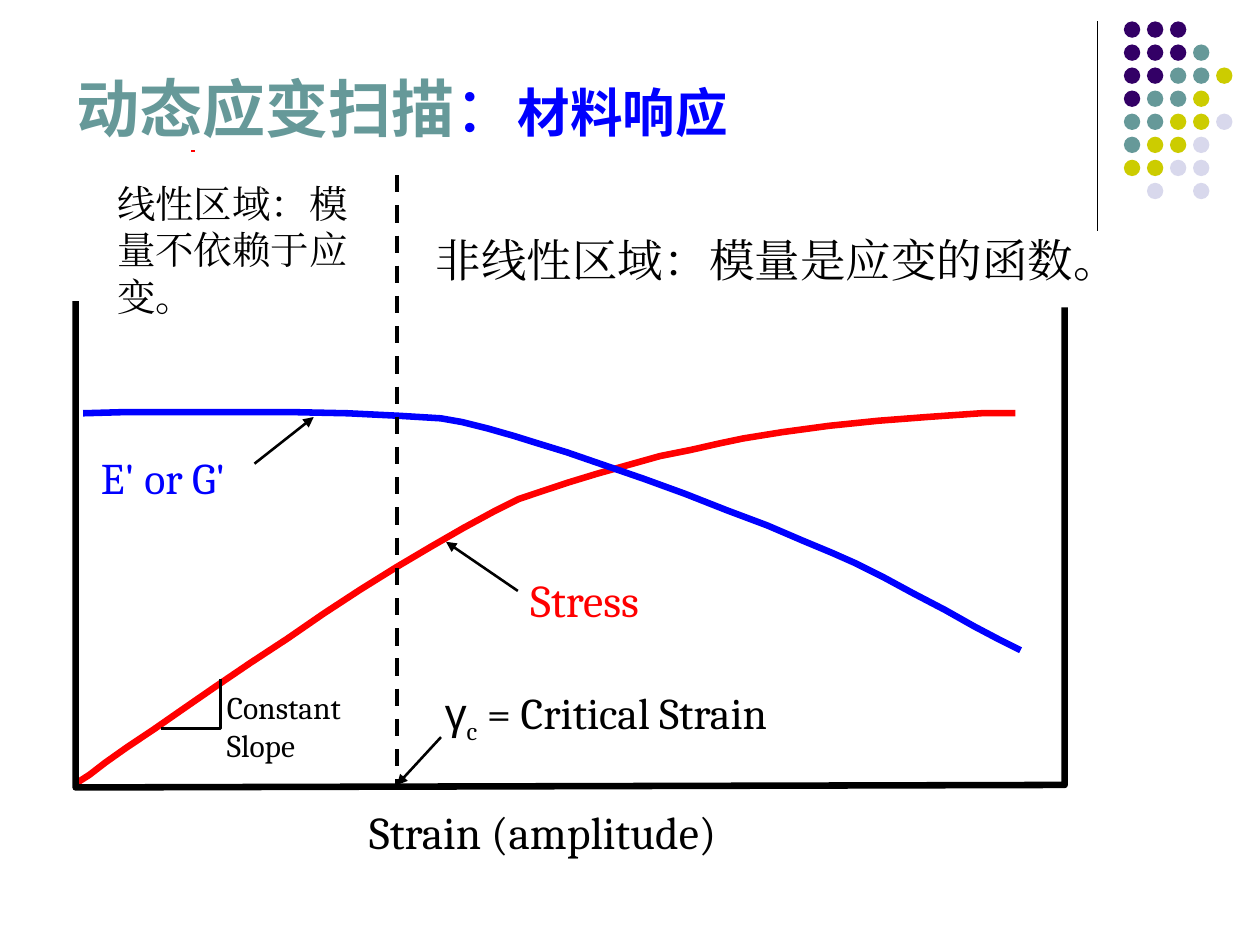
from dataclasses import dataclass

from lxml import etree
from pptx import Presentation
from pptx import util as u
from pptx.dml.color import RGBColor
from pptx.enum import dml, shapes, text
from pptx.oxml.ns import qn


@dataclass(frozen=True)
class Theme:
    ink: str = "000000"
    blue: str = "0000FF"
    red: str = "FF0000"
    teal: str = "669999"
    purple: str = "330066"
    olive: str = "CCCC00"
    pale: str = "D8D8EC"
    sans: str = "Arial"
    serif: str = "Cambria"
    title: int = 36
    subtitle: int = 30
    large: int = 26
    label: int = 25
    note: int = 22
    small: int = 18
    hairline: float = 0.75
    thin: float = 1.47
    dashed: float = 2.47
    thick: float = 3.75


THEME = Theme()

# The slide is a grid of 100 columns by 75 rows, with square cells
COLUMNS, ROWS = 100, 75
CELL = u.Inches(10) / COLUMNS

DOT_ROWS = ["PPP", "PPPT", "PPTTO", "PTTO", "TTOOL", "TOOL", "OOLL", " L L"]
DOT_COLORS = {"P": THEME.purple, "T": THEME.teal, "O": THEME.olive, "L": THEME.pale}

STRESS_CURVE = [
    (6, 62.2), (7.1, 61.5), (8.4, 60.5), (10.1, 59.3), (12.2, 57.9), (14.5, 56.3),
    (17.1, 54.5), (19.9, 52.6), (22.8, 50.7), (25.7, 48.7), (28.6, 46.8), (31.5, 45),
    (34.2, 43.4), (36.8, 41.9), (39.2, 40.6), (41.2, 39.6), (43, 39), (45.1, 38.3),
    (47.4, 37.6), (49.9, 36.9), (52.4, 36.2), (54.9, 35.7), (57.1, 35.2), (59, 34.8),
    (62.1, 34.3), (65.8, 33.8), (69.7, 33.4), (73.6, 33.1), (77.9, 32.8), (80.6, 32.8),
]
MODULUS_CURVE = [
    (6.6, 32.8), (10.1, 32.7), (22.9, 32.7), (27.6, 32.8), (31.7, 33), (35, 33.2),
    (36.7, 33.5), (38.7, 34), (40.8, 34.6), (42.4, 35.1), (45, 35.9), (47.9, 36.9),
    (51.1, 38), (54.4, 39.2), (57.7, 40.5), (60.9, 41.7), (63.7, 42.9), (66.1, 43.9),
    (67.9, 44.7), (70.1, 45.8), (72.5, 47.1), (75, 48.4), (77.3, 49.7), (79.2, 50.7),
    (81, 51.6),
]


def grid(value):
    return u.Emu(round(value * CELL))


def style_line(line, color, width):
    line.color.rgb = RGBColor.from_string(color)
    line.width = u.Pt(width)


def add_line(slide, start, end, color=THEME.ink, width=THEME.thin, dash=False, arrow=False):
    connector = slide.shapes.add_connector(
        shapes.MSO_CONNECTOR.STRAIGHT, *map(grid, (*start, *end)))
    style_line(connector.line, color, width)
    if dash:
        connector.line.dash_style = dml.MSO_LINE.DASH
    if arrow:
        outline = connector.line._get_or_add_ln()
        etree.SubElement(outline, qn("a:tailEnd"), type="triangle")
    etree.SubElement(connector._element.spPr, qn("a:effectLst"))
    return connector


def add_path(slide, points, color=THEME.ink, width=THEME.thick):
    (first, *rest) = [(grid(x), grid(y)) for x, y in points]
    builder = slide.shapes.build_freeform(*first)
    builder.add_line_segments(rest, close=False)
    shape = builder.convert_to_shape()
    shape.shadow.inherit = False
    shape.fill.background()
    style_line(shape.line, color, width)
    return shape


def add_dot(slide, left, top, size, color):
    shape = slide.shapes.add_shape(
        shapes.MSO_SHAPE.OVAL, grid(left), grid(top), grid(size), grid(size))
    shape.shadow.inherit = False
    shape.fill.solid()
    shape.fill.fore_color.rgb = RGBColor.from_string(color)
    shape.line.fill.background()


def add_run(paragraph, words, size, font, color, bold=False, baseline=0):
    run = paragraph.add_run()
    run.text = words
    run.font.size = u.Pt(size)
    run.font.bold = bold
    run.font.color.rgb = RGBColor.from_string(color)
    run.font.name = font
    properties = run._r.get_or_add_rPr()
    etree.SubElement(properties, qn("a:ea"), typeface=font)
    if baseline:
        properties.set("baseline", str(baseline * 1000))


def add_text(slide, box, paragraphs, size=THEME.large, font=THEME.serif,
             color=THEME.ink, wrap=False, anchor=text.MSO_ANCHOR.TOP):
    """Each paragraph is a list of (words, format overrides) pairs."""
    shape = slide.shapes.add_textbox(*map(grid, box))
    frame = shape.text_frame
    frame.word_wrap = wrap
    frame.vertical_anchor = anchor
    frame.margin_left = frame.margin_right = frame.margin_top = frame.margin_bottom = 0
    for index, runs in enumerate(paragraphs):
        paragraph = frame.add_paragraph() if index else frame.paragraphs[0]
        for words, overrides in runs:
            add_run(paragraph, words, **{"size": size, "font": font, "color": color, **overrides})


def add_label(slide, box, *lines, **formatting):
    add_text(slide, box, [[(line, {})] for line in lines], **formatting)


def add_corner_ornament(slide):
    add_line(slide, (87.1, 1.7), (87.1, 18.3), width=THEME.hairline)
    pitch = 1.83
    for row, pattern in enumerate(DOT_ROWS):
        for column, key in enumerate(pattern):
            if key in DOT_COLORS:
                add_dot(slide, 89.2 + column * pitch, 1.7 + row * pitch, 1.3, DOT_COLORS[key])


def add_title(slide):
    runs = [
        ("动态应变扫描", {"color": THEME.teal, "bold": True}),
        ("：", {}),
        ("材料响应", {"size": THEME.subtitle, "bold": True}),
    ]
    add_text(slide, (6.1, 4, 88.9, 7.5), [runs], size=THEME.title, font=THEME.sans,
             color=THEME.blue, wrap=True, anchor=text.MSO_ANCHOR.BOTTOM)
    add_line(slide, (15.2, 12), (15.5, 12), color=THEME.red)


def add_diagram(slide):
    # Curves, axes and the critical strain boundary
    add_path(slide, STRESS_CURVE, THEME.red)
    add_path(slide, MODULUS_CURVE, THEME.blue)
    add_path(slide, [(6, 23.9), (6, 62.5), (84.5, 62.3), (84.5, 24.4)])
    add_line(slide, (31.5, 13.9), (31.5, 62.4), width=THEME.dashed, dash=True)

    # Slope marker
    add_path(slide, [(12.8, 57.8), (17.5, 57.8), (17.5, 53.9)], width=THEME.thin)

    # Pointers from labels to curves
    for start, end in [((20.2, 36.8), (24.9, 33.1)),
                       ((41.1, 46.9), (35.4, 43)),
                       ((35, 58.5), (31.5, 62.3))]:
        add_line(slide, start, end, arrow=True)


def add_labels(slide):
    add_label(slide, (29.3, 63.8, 28.9, 4.1), "Strain (amplitude)")
    add_label(slide, (9.3, 14.3, 20.4, 15.5), "线性区域：模量不依赖于应变。",
              size=THEME.note, wrap=True)
    add_label(slide, (34.6, 18.4, 55.9, 4.6), "非线性区域：模量是应变的函数。")
    add_label(slide, (8, 35.8, 12, 4.1), "E' or G'", size=THEME.label, color=THEME.blue)
    add_label(slide, (42.1, 45.4, 12.2, 4.1), "Stress", color=THEME.red)
    add_label(slide, (18, 54.6, 10.1, 6.4), "Constant", "Slope", size=THEME.small)
    critical_strain = [("γ", {"font": THEME.sans}), ("c", {"baseline": -25}),
                       (" = Critical Strain", {})]
    add_text(slide, (35.3, 54.4, 29.8, 4.5), [critical_strain], size=THEME.label)


def main():
    presentation = Presentation()
    presentation.slide_width = grid(COLUMNS)
    presentation.slide_height = grid(ROWS)
    slide = presentation.slides.add_slide(presentation.slide_layouts[6])
    add_corner_ornament(slide)
    add_title(slide)
    add_diagram(slide)
    add_labels(slide)
    presentation.save("out.pptx")


if __name__ == "__main__":
    main()
